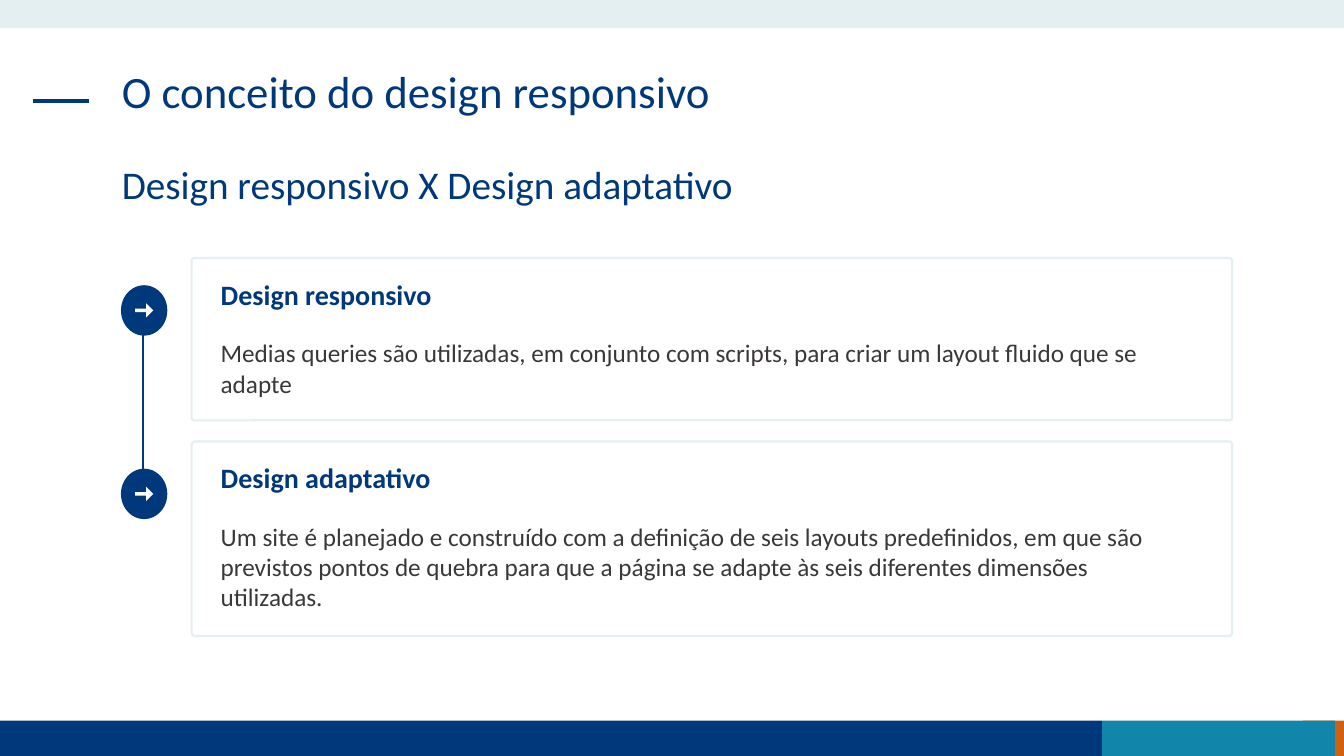
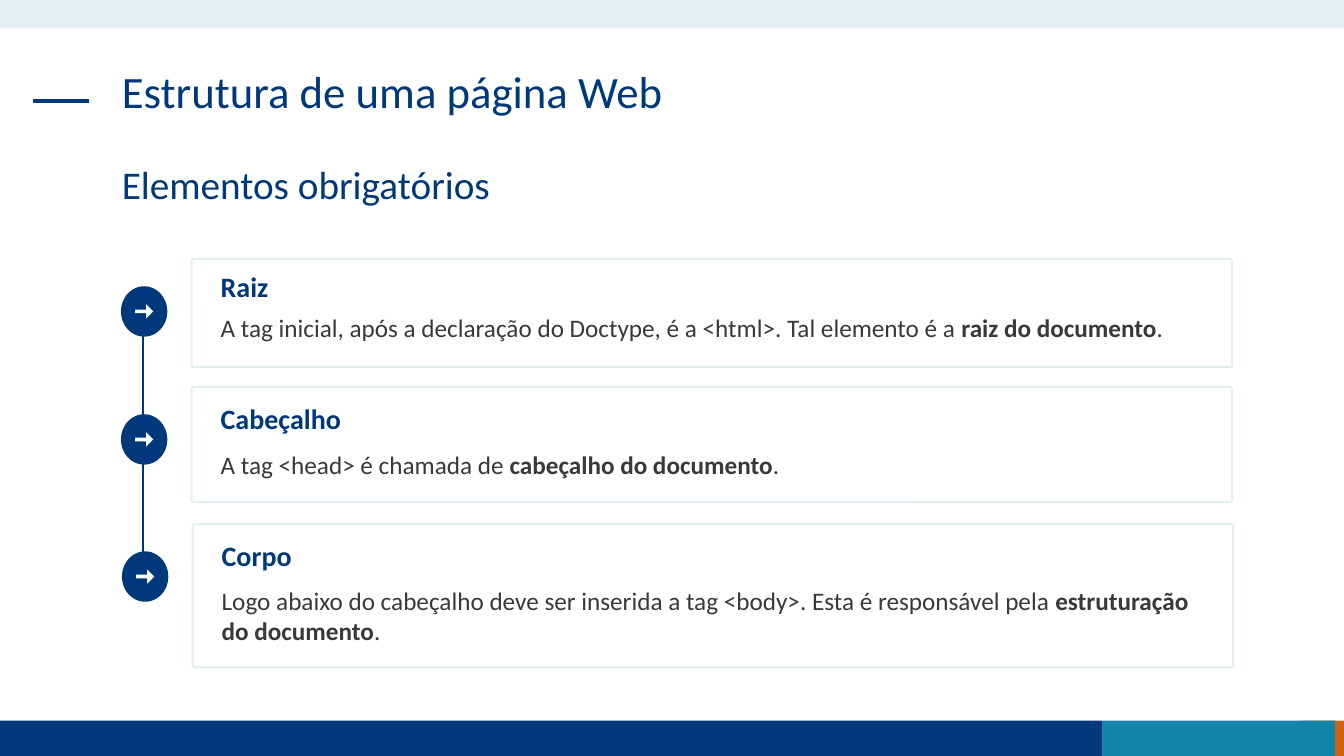
from dataclasses import dataclass
from typing import NamedTuple

from lxml import etree
from pptx import Presentation
from pptx.dml.color import RGBColor
from pptx.enum.shapes import MSO_CONNECTOR, MSO_SHAPE
from pptx.oxml.ns import qn
from pptx.util import Inches, Pt

RECT = MSO_SHAPE.RECTANGLE
ROUND = MSO_SHAPE.ROUNDED_RECTANGLE
OVAL = MSO_SHAPE.OVAL
ARROW = MSO_SHAPE.RIGHT_ARROW
LINE = MSO_CONNECTOR.STRAIGHT


@dataclass(frozen=True)
class Theme:
    font: str = "Calibri"
    navy: str = "00397B"
    teal: str = "1185AA"
    orange: str = "D06110"
    pale: str = "E3EFF1"
    white: str = "FFFFFF"
    ink: str = "3B3838"
    title: int = 32
    sub: int = 28
    head: int = 20
    body: int = 18


class Box(NamedTuple):
    left: float
    top: float
    width: float
    height: float


class Run(NamedTuple):
    text: str
    bold: bool = False


class Card(NamedTuple):
    top: float
    height: float
    head: str
    runs: list[Run]
    head_gap: float
    body_gap: float
    shift: float = 0


class Page(NamedTuple):
    title: str
    sub: str
    cards: list[Card]


THEME = Theme()
WIDTH, HEIGHT = 13.33, 7.5
BANDS = [
    (Box(12.92, 7.15, 0.41, 0.35), THEME.orange),
    (Box(0, 7.15, 10.93, 0.35), THEME.navy),
    (Box(10.93, 7.15, 2.31, 0.35), THEME.teal),
    (Box(0, 0, WIDTH, 0.28), THEME.pale),
]
DOT_X, DOT_GAP, DOT_W, DOT_H = 1.2, 0.27, 0.46, 0.5
CARD_X, CARD_W = 1.9, 10.32
TEXT_X, TEXT_W = 2.09, 9.82
HEAD_H, FOOT_GAP = 0.44, 0.17

PAGES = [
    Page("O conceito do design responsivo", "Design responsivo X Design adaptativo", [
        Card(2.56, 1.61, "Design responsivo", [
            Run("Medias queries são utilizadas, em conjunto com scripts, "
                "para criar um layout fluido que se adapte"),
        ], 0.14, 0.74),
        Card(4.38, 1.93, "Design adaptativo", [
            Run("Um site é planejado e construído com a definição de seis layouts "
                "predefinidos, em que são previstos pontos de quebra para que a página "
                "se adapte às seis diferentes dimensões utilizadas."),
        ], 0.14, 0.74),
    ]),
    Page("Estrutura de uma página Web", "Elementos obrigatórios", [
        Card(2.57, 1.07, "Raiz", [
            Run("A tag inicial, após a declaração do Doctype, é a <html>. "
                "Tal elemento é a "),
            Run("raiz do documento", True),
            Run("."),
        ], 0.05, 0.48),
        Card(3.84, 1.14, "Cabeçalho", [
            Run("A tag <head> é chamada de "),
            Run("cabeçalho do documento", True),
            Run("."),
        ], 0.09, 0.57),
        Card(5.2, 1.42, "Corpo", [
            Run("Logo abaixo do cabeçalho deve ser inserida a tag <body>. "
                "Esta é responsável pela "),
            Run("estruturação do documento", True),
            Run("."),
        ], 0.09, 0.56, 0.01),
    ]),
]


def rgb(code: str) -> RGBColor:
    return RGBColor.from_string(code)


def inches(box: Box) -> list[Inches]:
    return [Inches(side) for side in box]


def add_shape(shapes, kind, box: Box, fill: str = "", line: str = ""):
    shape = shapes.add_shape(kind, *inches(box))
    shape.shadow.inherit = False
    if fill:
        shape.fill.solid()
        shape.fill.fore_color.rgb = rgb(fill)
    else:
        shape.fill.background()
    if line:
        shape.line.color.rgb = rgb(line)
        shape.line.width = Pt(1.5)
    else:
        shape.line.fill.background()
    return shape


def add_line(shapes, start: tuple[float, float], end: tuple[float, float],
             weight: float) -> None:
    line = shapes.add_connector(LINE, *(Inches(side) for side in (*start, *end)))
    line.line.color.rgb = rgb(THEME.navy)
    line.line.width = Pt(weight)
    etree.SubElement(line._element.spPr, qn("a:effectLst"))


def add_text(shapes, box: Box, runs: list[Run], size: int, color: str,
             pitch: float = 1) -> None:
    frame = shapes.add_textbox(*inches(box)).text_frame
    frame.word_wrap = True
    para = frame.paragraphs[0]
    para.line_spacing = pitch
    for part in runs:
        run = para.add_run()
        run.text = part.text
        run.font.name = THEME.font
        run.font.size = Pt(size)
        run.font.bold = part.bold
        run.font.color.rgb = rgb(color)


def add_frame(shapes, page: Page) -> None:
    """Draw the bands, title dash, title and subtitle."""
    for box, fill in BANDS:
        add_shape(shapes, RECT, box, fill)
    add_line(shapes, (0.33, 1), (0.88, 1), 3)
    for text, top, size in ((page.title, 0.64, THEME.title),
                            (page.sub, 1.59, THEME.sub)):
        add_text(shapes, Box(1.11, top, 11.1, 0.94), [Run(text)], size,
                 THEME.navy, 0.9)


def add_card(shapes, card: Card) -> None:
    group = shapes.add_group_shape().shapes
    dot_x, dot_y = DOT_X + card.shift, card.top + DOT_GAP
    add_shape(group, OVAL, Box(dot_x, dot_y, DOT_W, DOT_H), THEME.navy)
    arrow = add_shape(group, ARROW, Box(dot_x + 0.14, dot_y + 0.18, 0.18, 0.14),
                      THEME.white)
    arrow.adjustments[0] = 0.255
    arrow.adjustments[1] = 0.5
    panel = add_shape(group, ROUND,
                      Box(CARD_X + card.shift, card.top, CARD_W, card.height),
                      line=THEME.pale)
    panel.adjustments[0] = 0.016
    left = TEXT_X + card.shift
    add_text(group, Box(left, card.top + card.head_gap, TEXT_W, HEAD_H),
             [Run(card.head, True)], THEME.head, THEME.navy)
    rest = card.height - card.body_gap - FOOT_GAP
    add_text(group, Box(left, card.top + card.body_gap, TEXT_W, rest),
             card.runs, THEME.body, THEME.ink)


def add_steps(shapes, cards: list[Card]) -> None:
    """Join the dots from first to last, then draw the cards over the line."""
    axis = DOT_X + 0.22
    start, end = (card.top + DOT_GAP + DOT_H / 2 for card in (cards[0], cards[-1]))
    add_line(shapes, (axis, start), (axis, end), 1.5)
    for card in cards:
        add_card(shapes, card)


def main() -> None:
    deck = Presentation()
    deck.slide_width, deck.slide_height = Inches(WIDTH), Inches(HEIGHT)
    blank = deck.slide_layouts[6]
    for page in PAGES:
        shapes = deck.slides.add_slide(blank).shapes
        add_frame(shapes, page)
        add_steps(shapes, page.cards)
    deck.save("out.pptx")


if __name__ == "__main__":
    main()
